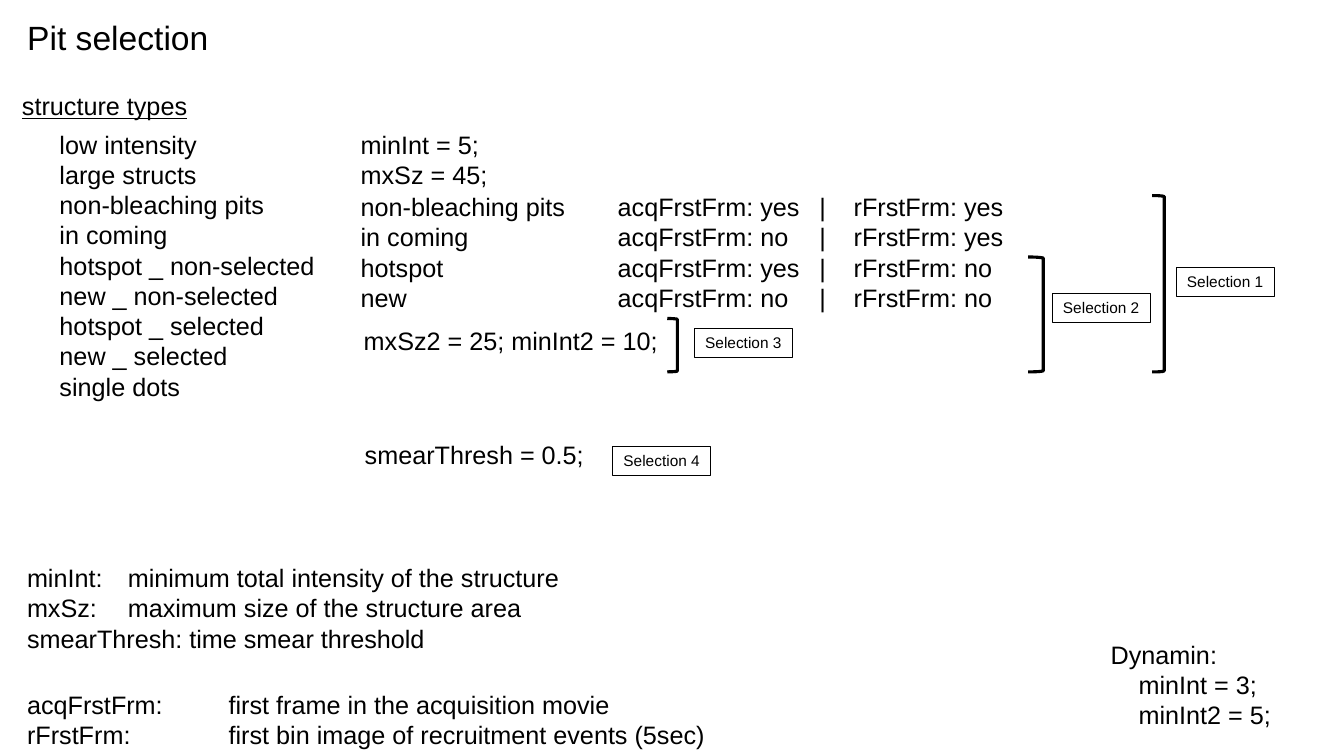
import pptx
import pptx.dml.color
import pptx.enum.shapes
import pptx.enum.text
import pptx.oxml
import pptx.oxml.ns
import pptx.util

COLORS = {"ink": "000000", "paper": "FFFFFF"}
FONT = "Arial"
CELL = pptx.util.Inches(1 / 12)
COLUMNS, ROWS = 160, 90
BRACKET_BOTTOM = 44.28
LEFT, SETTINGS = 2.04, 41.76

STRUCTURE_TYPES = [
    "low intensity", "large structs", "non-bleaching pits", "in coming",
    "hotspot _ non-selected", "new _ non-selected",
    "hotspot _ selected", "new _ selected", "single dots",
]
FRAME_RULES = [
    ("non-bleaching pits", "yes", "yes"),
    ("in coming", "no", "yes"),
    ("hotspot", "yes", "no"),
    ("new", "no", "no"),
]
SELECTIONS = [
    ("Selection 1", 140.04, 31.8),
    ("Selection 2", 125.28, 34.92),
    ("Selection 3", 82.68, 39.12),
    ("Selection 4", 72.96, 53.16),
]
BRACKETS = [(79.44, 37.92, 1.2), (122.4, 30.6, 1.8), (137.16, 23.28, 1.44)]


def color(name):
    """Return a named colour."""
    return pptx.dml.color.RGBColor.from_string(COLORS[name])


def grid(*cells):
    """Turn grid cells into lengths."""
    return [pptx.util.Emu(round(cell * CELL)) for cell in cells]


def format_paragraph(paragraph, indent, tabs):
    """Set plain spacing with either tab stops or an indent, in cells."""
    paragraph.line_spacing = 1.0
    paragraph.space_before = paragraph.space_after = pptx.util.Pt(0)
    properties = paragraph._p.get_or_add_pPr()
    namespace = pptx.oxml.ns.nsdecls("a")
    if tabs:
        stops = "".join(f'<a:tab pos="{stop}" algn="l"/>' for stop in grid(*tabs))
        properties.append(pptx.oxml.parse_xml(
            f"<a:tabLst {namespace}>{stops}</a:tabLst>"))
    else:
        properties.set("marL", str(grid(indent)[0]))
        properties.set("indent", "0")
        properties.append(pptx.oxml.parse_xml(f"<a:buNone {namespace}/>"))


def write(shape, lines, size=18, tabs=(), indents=(), underline=False,
          wrap=True, align=pptx.enum.text.PP_ALIGN.LEFT):
    """Write lines as formatted paragraphs."""
    frame = shape.text_frame
    frame.word_wrap = wrap
    frame.auto_size = pptx.enum.text.MSO_AUTO_SIZE.NONE
    frame.vertical_anchor = pptx.enum.text.MSO_ANCHOR.TOP
    for index, line in enumerate(lines):
        paragraph = frame.add_paragraph() if index else frame.paragraphs[0]
        paragraph.alignment = align
        format_paragraph(paragraph, indents[index] if indents else 0, tabs)
        run = paragraph.add_run()
        run.text = line
        run.font.name = FONT
        run.font.size = pptx.util.Pt(size)
        run.font.color.rgb = color("ink")
        if underline:
            run.font.underline = True


def fill_placeholder(shape, cells, lines, **style):
    """Move a placeholder on the grid and write into it."""
    shape.left, shape.top, shape.width, shape.height = grid(*cells)
    write(shape, lines, **style)


def add_text(slide, cells, lines, **style):
    """Add a text box."""
    write(slide.shapes.add_textbox(*grid(*cells)), lines, **style)


def add_outline(slide, kind, cells, weight):
    """Add an unfilled preset shape with a dark line."""
    shape = slide.shapes.add_shape(kind, *grid(*cells))
    shape.shadow.inherit = False
    shape.fill.background()
    shape.line.color.rgb = color("ink")
    shape.line.width = pptx.util.Pt(weight)
    return shape


def add_selection(slide, label, left, top):
    """Add a boxed selection label."""
    box = add_outline(slide, pptx.enum.shapes.MSO_SHAPE.RECTANGLE,
                      (left, top, 11.64, 3.48), 0.75)
    write(box, [label], size=11, wrap=False,
          align=pptx.enum.text.PP_ALIGN.CENTER)


def add_bracket(slide, left, top, width):
    """Add a right bracket reaching the common bottom."""
    add_outline(slide, pptx.enum.shapes.MSO_SHAPE.RIGHT_BRACKET,
                (left, top, width, BRACKET_BOTTOM - top), 2.25)


def main():
    """Build and save the slide."""
    presentation = pptx.Presentation()
    presentation.slide_width, presentation.slide_height = grid(COLUMNS, ROWS)
    slide = presentation.slides.add_slide(presentation.slide_layouts[1])
    slide.background.fill.solid()
    slide.background.fill.fore_color.rgb = color("paper")

    title, body = slide.placeholders
    fill_placeholder(title, (LEFT, 1.44, 24.24, 6), ["Pit selection"], size=24)
    fill_placeholder(body, (5.88, 14.76, 34, 33.96), STRUCTURE_TYPES)
    add_text(slide, (1.44, 10.2, 22.32, 4.8), ["structure types"], underline=True)

    add_text(slide, (SETTINGS, 14.76, 18.5, 8.52), ["minInt = 5;", "mxSz = 45;"])
    add_text(slide, (SETTINGS, 22.2, 28.8, 15.72),
             [name for name, _, _ in FRAME_RULES])
    add_text(slide, (72.36, 22.2, 50.4, 15.72),
             [f"acqFrstFrm: {first}\t|\trFrstFrm: {second}"
              for _, first, second in FRAME_RULES], tabs=(24, 28.1))
    add_text(slide, (42.12, 38.16, 38, 4.8), ["mxSz2 = 25; minInt2 = 10;"])
    add_text(slide, (42.24, 51.72, 28.8, 4.8), ["smearThresh = 0.5;"])

    for bracket in BRACKETS:
        add_bracket(slide, *bracket)
    for selection in SELECTIONS:
        add_selection(slide, *selection)

    add_text(slide, (LEFT, 66.36, 66.36, 12.12), [
        "minInt: \tminimum total intensity of the structure",
        "mxSz: \tmaximum size of the structure area",
        "smearThresh: time smear threshold"], tabs=(12,))
    add_text(slide, (LEFT, 81.48, 83.88, 8.52), [
        "acqFrstFrm: \tfirst frame in the acquisition movie",
        "rFrstFrm:\tfirst bin image of recruitment events (5sec)"], tabs=(24,))
    add_text(slide, (131.04, 75.48, 22.8, 12.12),
             ["Dynamin:", "minInt = 3;", "minInt2 = 5;"], indents=(0, 3.33, 3.33))
    presentation.save("out.pptx")


if __name__ == "__main__":
    main()
